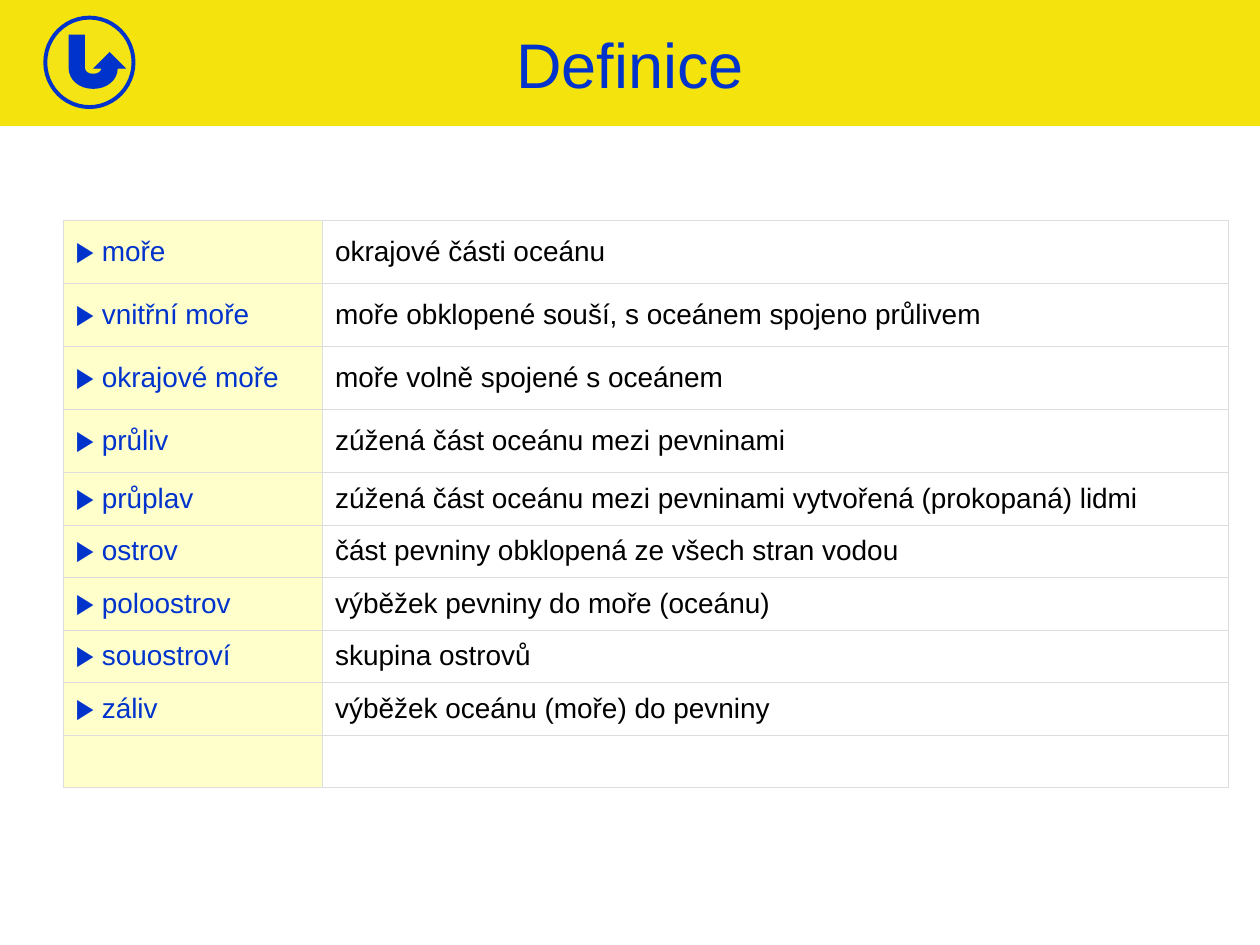
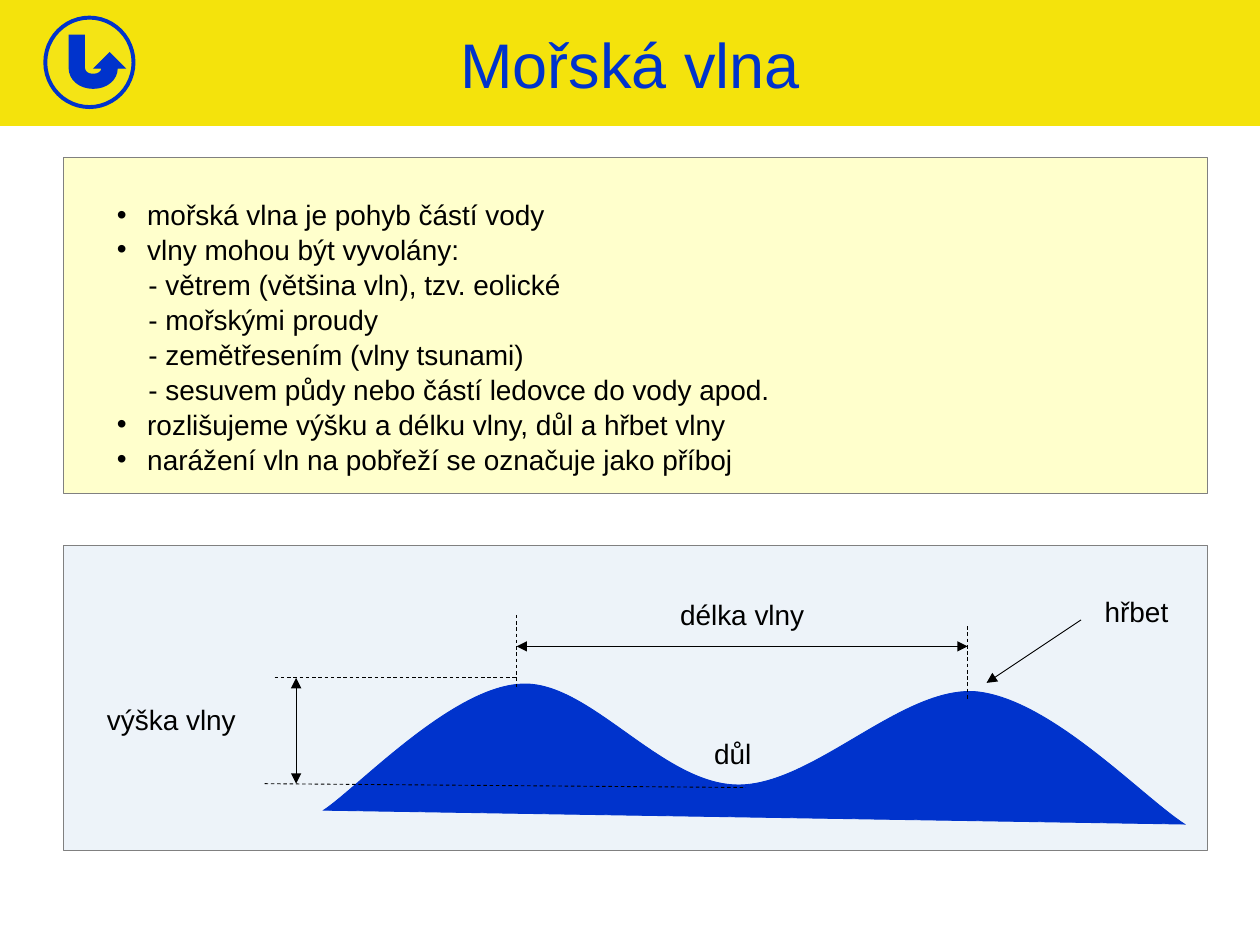
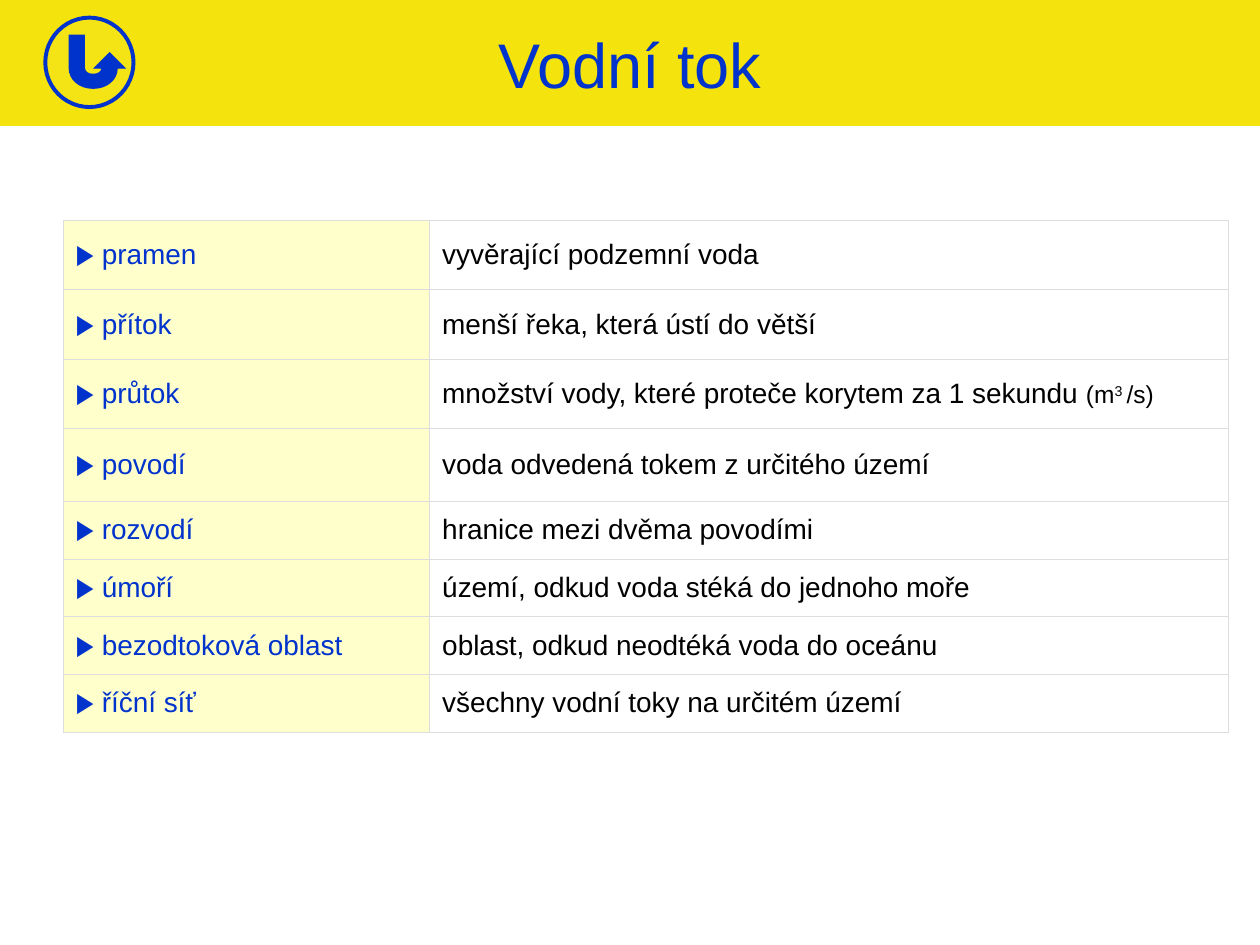
from lxml import etree
from pptx import Presentation
from pptx.dml.color import RGBColor
from pptx.enum.dml import MSO_LINE
from pptx.enum.shapes import MSO_CONNECTOR, MSO_SHAPE
from pptx.enum.text import MSO_ANCHOR, PP_ALIGN
from pptx.oxml.ns import qn
from pptx.util import Inches, Pt

BLUE, YELLOW, CREAM, PALE_BLUE = "0033CC", "F4E30C", "FFFFCC", "EDF3F9"
BLACK, WHITE, GRAY, LIGHT_GRAY = "000000", "FFFFFF", "808080", "DDDDDD"
FONT = "Arial"
BODY_SIZE = 16
RECTANGLE, OVAL = MSO_SHAPE.RECTANGLE, MSO_SHAPE.OVAL
STRAIGHT, DASH = MSO_CONNECTOR.STRAIGHT, MSO_LINE.DASH
MIDDLE, CENTER = MSO_ANCHOR.MIDDLE, PP_ALIGN.CENTER

# Outlines: a step with one point is a line, with three points a Bezier curve.
TURN_ARROW = [
    [(0.32, 0.14)], [(0.44, 0.26)], [(0.38, 0.26)],
    [(0.38, 0.35), (0.30, 0.42), (0.19, 0.42)],
    [(0.08, 0.42), (0, 0.35), (0, 0.26)],
    [(0, 0)], [(0.12, 0)], [(0.12, 0.26)],
    [(0.12, 0.29), (0.15, 0.31), (0.18, 0.31)], [(0.20, 0.31)],
    [(0.23, 0.31), (0.26, 0.29), (0.26, 0.26)], [(0.20, 0.26)],
]
WAVE = [
    [(2.07, 2.10)],
    [(2.33, 1.93), (3.08, 1.13), (3.63, 1.10)],
    [(4.17, 1.06), (4.74, 1.89), (5.35, 1.90)],
    [(5.95, 1.91), (6.66, 1.11), (7.25, 1.16)],
    [(7.84, 1.22), (8.56, 1.99), (8.90, 2.21)],
]

SEA_TERMS = [
    ("moře", "okrajové části oceánu"),
    ("vnitřní moře", "moře obklopené souší, s oceánem spojeno průlivem"),
    ("okrajové moře", "moře volně spojené s oceánem"),
    ("průliv", "zúžená část oceánu mezi pevninami"),
    ("průplav", "zúžená část oceánu mezi pevninami vytvořená (prokopaná) lidmi"),
    ("ostrov", "část pevniny obklopená ze všech stran vodou"),
    ("poloostrov", "výběžek pevniny do moře (oceánu)"),
    ("souostroví", "skupina ostrovů"),
    ("záliv", "výběžek oceánu (moře) do pevniny"),
    ("", ""),
]
RIVER_TERMS = [
    ("pramen", "vyvěrající podzemní voda"),
    ("přítok", "menší řeka, která ústí do větší"),
    ("průtok", "množství vody, které proteče korytem za 1 sekundu "),
    ("povodí", "voda odvedená tokem z určitého území"),
    ("rozvodí", "hranice mezi dvěma povodími"),
    ("úmoří", "území, odkud voda stéká do jednoho moře"),
    ("bezodtoková oblast", "oblast, odkud neodtéká voda do oceánu"),
    ("říční síť", "všechny vodní toky na určitém území"),
]
WAVE_FACTS = [
    ("mořská vlna je pohyb částí vody", []),
    ("vlny mohou být vyvolány:", [
        "- větrem (většina vln), tzv. eolické",
        "- mořskými proudy",
        "- zemětřesením (vlny tsunami)",
        "- sesuvem půdy nebo částí ledovce do vody apod.",
    ]),
    ("rozlišujeme výšku a délku vlny, důl a hřbet vlny", []),
    ("narážení vln na pobřeží se označuje jako příboj", []),
]


def color(value):
    return RGBColor.from_string(value)


def style_font(font, size=BODY_SIZE, tint=BLACK):
    font.name, font.size = FONT, Pt(size)
    font.color.rgb = color(tint)


def style_shape(shape, fill, line=None, weight=0.5):
    shape.shadow.inherit = False
    shape.fill.solid()
    shape.fill.fore_color.rgb = color(fill)
    if line:
        shape.line.color.rgb = color(line)
        shape.line.width = Pt(weight)
    else:
        shape.line.fill.background()


def add_panel(slide, box, fill, line=None, weight=0.5, kind=RECTANGLE):
    shape = slide.shapes.add_shape(kind, *map(Inches, box))
    style_shape(shape, fill, line, weight)
    return shape


def add_outline(slide, left, top, steps, weight):
    """Draw a closed blue outline whose points are relative to left, top."""
    points = [(Inches(left + x), Inches(top + y)) for step in steps for x, y in step]
    builder = slide.shapes.build_freeform(*points[0])
    builder.add_line_segments(points[1:], close=True)
    shape = builder.convert_to_shape()
    style_shape(shape, BLUE, BLUE, weight)
    etree.SubElement(shape.line._get_or_add_ln(), qn("a:miter"), lim="800000")
    segments = iter(list(shape._element.iter(qn("a:lnTo"))))
    for step in steps[1:]:
        first, *others = [next(segments) for _ in step]
        if others:
            first.tag = qn("a:cubicBezTo")
            for segment in others:
                first.append(segment[0])
                segment.getparent().remove(segment)


def add_back_badge(slide, left, top):
    circle = add_panel(slide, (left, top, 0.7, 0.71), WHITE, BLUE, 2.25, OVAL)
    tint = circle.fill._xPr.find(".//" + qn("a:srgbClr"))
    etree.SubElement(tint, qn("a:alpha"), val="4000")
    add_outline(slide, left + 0.19, top + 0.14, TURN_ARROW, 0.75)


def add_titled_slide(deck, title):
    slide = deck.slides.add_slide(deck.slide_layouts[6])
    band = add_panel(slide, (0, 0, 10, 1), YELLOW)
    frame = band.text_frame
    frame.text = title
    frame.vertical_anchor = MIDDLE
    para = frame.paragraphs[0]
    para.alignment = CENTER
    style_font(para.runs[0].font, 36, BLUE)
    add_back_badge(slide, 0.36, 0.14)
    return slide


def style_cell(cell, text, tint, fill=None):
    cell.vertical_anchor = MIDDLE
    cell.text = text
    for span in cell.text_frame.paragraphs[0].runs:
        style_font(span.font, tint=tint)
    properties = cell._tc.get_or_add_tcPr()
    for side in ("a:lnL", "a:lnR", "a:lnT", "a:lnB"):
        border = etree.SubElement(properties, qn(side), w=str(Pt(0.45)))
        solid = etree.SubElement(border, qn("a:solidFill"))
        etree.SubElement(solid, qn("a:srgbClr"), val=LIGHT_GRAY)
    if fill:
        cell.fill.solid()
        cell.fill.fore_color.rgb = color(fill)
    else:
        cell.fill.background()


def add_glossary(slide, left, top, widths, heights, terms):
    frame = slide.shapes.add_table(len(terms), 2, Inches(left), Inches(top),
                                   Inches(sum(widths)), Inches(sum(heights)))
    table = frame.table
    table.first_row = table.horz_banding = False
    for column, width in zip(table.columns, widths):
        column.width = Inches(width)
    for row, height, (term, meaning) in zip(table.rows, heights, terms):
        row.height = Inches(height)
        style_cell(row.cells[0], f"▶ {term}" if term else "", BLUE, CREAM)
        style_cell(row.cells[1], meaning, BLACK)
    return table


def add_flow_unit(cell):
    para = cell.text_frame.paragraphs[0]
    for text, raised in (("(m", False), ("3 ", True), ("/s)", False)):
        span = para.add_run()
        span.text = text
        style_font(span.font, 14)
        if raised:
            span._r.get_or_add_rPr().set("baseline", "30000")


def add_facts(slide, left, top, width, height):
    add_panel(slide, (left, top, width, height), CREAM, GRAY)
    box = slide.shapes.add_textbox(Inches(left + 0.33), Inches(top + 0.26),
                                   Inches(width - 0.66), Inches(height - 0.43))
    frame = box.text_frame
    frame.word_wrap = True
    lines = []
    for fact, details in WAVE_FACTS:
        lines += [(fact, True)] + [(detail, False) for detail in details]
    for index, (text, bulleted) in enumerate(lines):
        para = frame.add_paragraph() if index else frame.paragraphs[0]
        para.text = text
        para.line_spacing = 1.04
        properties = para._p.get_or_add_pPr()
        properties.set("marL", str(Inches(0.24 if bulleted else 0.25)))
        if bulleted:
            properties.set("indent", str(-Inches(0.24)))
            etree.SubElement(properties, qn("a:buFont"), typeface=FONT)
            etree.SubElement(properties, qn("a:buChar"), char="•")
        style_font(para.runs[0].font)


def add_line(slide, start, end, dashed=False, arrows=()):
    line = slide.shapes.add_connector(STRAIGHT, *map(Inches, (*start, *end)))
    line.line.color.rgb = color(BLACK)
    line.line.width = Pt(0.5)
    if dashed:
        line.line.dash_style = DASH
    for arrow in arrows:
        etree.SubElement(line.line._get_or_add_ln(), qn(arrow), type="triangle")
    etree.SubElement(line._element.spPr, qn("a:effectLst"))


def add_label(slide, left, top, width, text):
    box = slide.shapes.add_textbox(*map(Inches, (left, top, width, 0.37)))
    frame = box.text_frame
    frame.word_wrap = False
    frame.margin_left = frame.margin_right = 0
    frame.text = text
    para = frame.paragraphs[0]
    para.alignment = CENTER
    para.line_spacing = Pt(19.2)
    style_font(para.runs[0].font)


def add_wave_diagram(slide, left, top, width, height):
    add_panel(slide, (left, top, width, height), PALE_BLUE, GRAY)
    add_outline(slide, left, top, WAVE, 0.5)
    guides = [
        ((3.60, 0.55), (3.60, 1.14)),
        ((7.18, 0.64), (7.18, 1.22)),
        ((1.68, 1.05), (3.60, 1.05)),
        ((1.60, 1.89), (5.42, 1.92)),
    ]
    both, tail = ("a:headEnd", "a:tailEnd"), ("a:tailEnd",)
    arrows = [
        ((3.60, 0.80), (7.18, 0.80), both),
        ((1.85, 1.05), (1.85, 1.89), both),
        ((8.08, 0.59), (7.33, 1.09), tail),
    ]
    labels = [
        (4.80, 0.36, 1.18, "délka vlny"),
        (0.25, 1.20, 1.22, "výška vlny"),
        (5.07, 1.47, 0.49, "důl"),
        (8.17, 0.34, 0.70, "hřbet"),
    ]

    def place(point):
        return left + point[0], top + point[1]

    for start, end in guides:
        add_line(slide, place(start), place(end), dashed=True)
    for start, end, heads in arrows:
        add_line(slide, place(start), place(end), arrows=heads)
    for x, y, label_width, text in labels:
        add_label(slide, *place((x, y)), label_width, text)


def main():
    deck = Presentation()
    deck.slide_width, deck.slide_height = Inches(10), Inches(7.5)

    definitions = add_titled_slide(deck, "Definice")
    add_glossary(definitions, 0.5, 1.75, (2.06, 7.19),
                 [0.5] * 4 + [2.5 / 6] * 6, SEA_TERMS)

    sea_wave = add_titled_slide(deck, "Mořská vlna")
    add_facts(sea_wave, 0.5, 1.25, 9.08, 2.67)
    add_wave_diagram(sea_wave, 0.5, 4.33, 9.08, 2.42)

    watercourse = add_titled_slide(deck, "Vodní tok")
    table = add_glossary(watercourse, 0.5, 1.75, (2.91, 6.34),
                         [0.55] * 3 + [0.58] + [1.83 / 4] * 4, RIVER_TERMS)
    add_flow_unit(table.cell(2, 1))

    deck.save("out.pptx")


if __name__ == "__main__":
    main()
